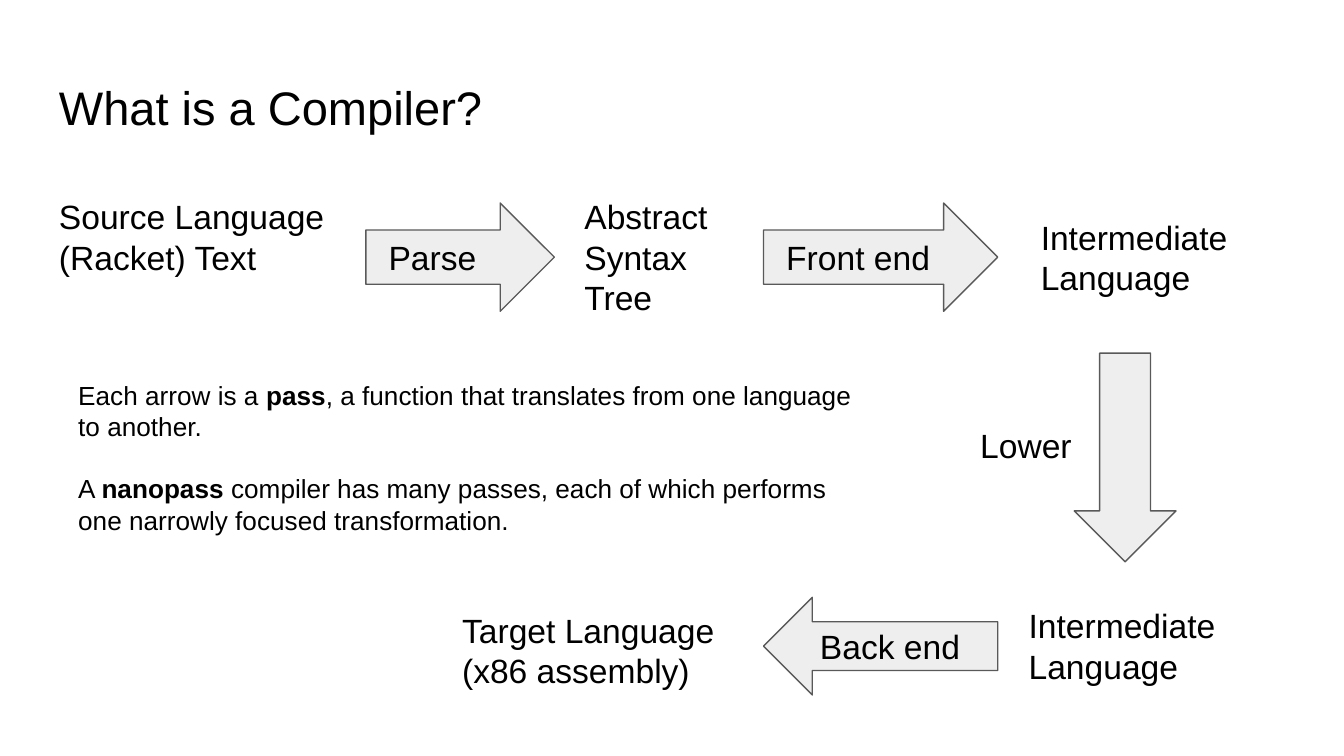
from pptx import Presentation
from pptx.dml.color import RGBColor
from pptx.enum.shapes import MSO_SHAPE
from pptx.enum.text import MSO_ANCHOR, PP_ALIGN
from pptx.util import Pt

RIGHT = MSO_SHAPE.RIGHT_ARROW
DOWN = MSO_SHAPE.DOWN_ARROW
LEFT = MSO_SHAPE.LEFT_ARROW
MIDDLE, TOP = MSO_ANCHOR.MIDDLE, MSO_ANCHOR.TOP
ALIGN_LEFT = PP_ALIGN.LEFT
FONT = "Arial"
INSET = 7.2
LABEL_SIZE = 18
NOTE_SIZE = 14


def color(hex_string):
    """Return the colour for a hex string."""
    return RGBColor.from_string(hex_string)


def write(shape, paragraphs, size, anchor=TOP, indent=0, gap=0):
    """Fill a shape with paragraphs, each a list of runs; odd runs are bold."""
    frame = shape.text_frame
    frame.word_wrap = True
    frame.vertical_anchor = anchor
    frame.margin_left = Pt(INSET + indent)
    frame.margin_right = frame.margin_top = frame.margin_bottom = Pt(INSET)
    for number, texts in enumerate(paragraphs):
        paragraph = frame.add_paragraph() if number else frame.paragraphs[0]
        paragraph.alignment = ALIGN_LEFT
        paragraph.space_before = Pt(gap if number else 0)
        for position, text in enumerate(texts):
            run = paragraph.add_run()
            run.text = text
            run.font.name = FONT
            run.font.size = Pt(size)
            run.font.bold = position % 2 == 1
            run.font.color.rgb = color("000000")


def add_text(slide, box, paragraphs, size=LABEL_SIZE, gap=0):
    """Add a text box with the given paragraphs."""
    shape = slide.shapes.add_textbox(*map(Pt, box))
    write(shape, paragraphs, size, gap=gap)


def add_arrow(slide, kind, box, label="", indent=0):
    """Add a grey block arrow, labelled if a label is given."""
    shape = slide.shapes.add_shape(kind, *map(Pt, box))
    shape.shadow.inherit = False
    shape.fill.solid()
    shape.fill.fore_color.rgb = color("EEEEEE")
    shape.line.color.rgb = color("595959")
    shape.line.width = Pt(0.75)
    if label:
        write(shape, [[label]], LABEL_SIZE, MIDDLE, indent)


def add_pipeline(slide, left, top):
    """Place the languages and the passes between them."""
    languages = [
        (0, 0, 171, 58, ["Source Language", "(Racket) Text"]),
        (281.5, 0, 89, 80, ["Abstract Syntax Tree"]),
        (526, 10.8, 117, 58, ["Intermediate Language"]),
        (519.5, 219, 117, 58, ["Intermediate Language"]),
        (216, 221.5, 171, 58, ["Target Language", "(x86 assembly)"]),
        (493.5, 122.5, 70, 36, ["Lower"]),
    ]
    for x, y, width, height, lines in languages:
        add_text(slide, (left + x, top + y, width, height), [[line] for line in lines])
    passes = [
        (RIGHT, 171.5, 10.8, 101, 58, "Parse", 5),
        (RIGHT, 384.5, 10.8, 125.5, 58, "Front end", 5),
        (DOWN, 551, 91.2, 54.5, 111.8, "", 0),
        (LEFT, 384.5, 222, 125.5, 52.3, "Back end", 10),
    ]
    for kind, x, y, width, height, label, indent in passes:
        add_arrow(slide, kind, (left + x, top + y, width, height), label, indent)


def add_notes_on_passes(slide, box):
    """Place the two paragraphs that explain the passes."""
    paragraphs = [
        ["Each arrow is a ", "pass",
         ", a function that translates from one language to another."],
        ["A ", "nanopass",
         " compiler has many passes, each of which performs one narrowly focused transformation."],
    ]
    add_text(slide, box, paragraphs, NOTE_SIZE, gap=16.5)


def main():
    """Build and save the slide."""
    presentation = Presentation()
    presentation.slide_width, presentation.slide_height = Pt(720), Pt(405)
    slide = presentation.slides.add_slide(presentation.slide_layouts[6])
    add_text(slide, (24.5, 35, 671, 45), [["What is a Compiler?"]], 25.2)
    add_pipeline(slide, 24.5, 98)
    add_notes_on_passes(slide, (34.8, 196, 436, 99))
    presentation.save("out.pptx")


main()
